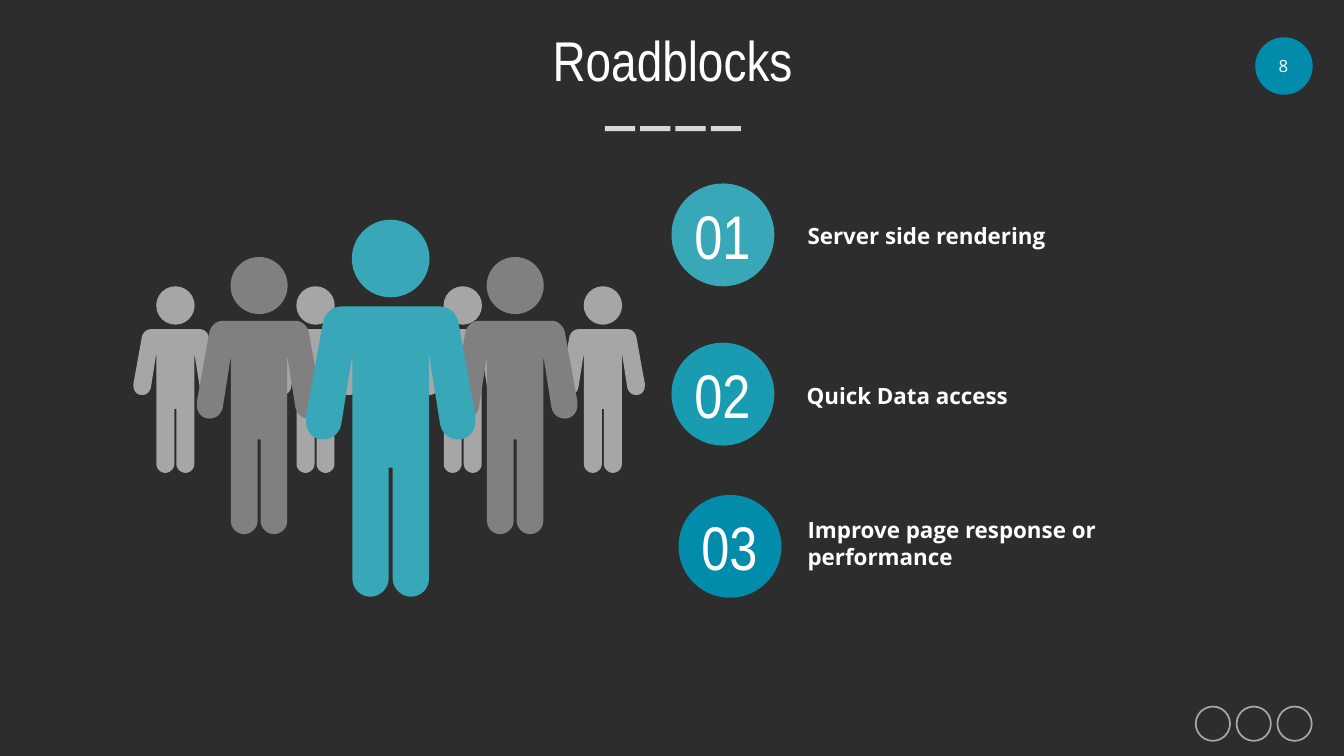
"""Build the Roadblocks slide with its crowd of figures and three numbered items."""
from dataclasses import dataclass

from pptx import Presentation
from pptx.dml.color import RGBColor
from pptx.enum.shapes import MSO_SHAPE
from pptx.enum.text import MSO_ANCHOR, PP_ALIGN
from pptx.shapes.autoshape import Shape
from pptx.slide import Slide
from pptx.util import Inches, Pt

Point = tuple[float, float]


@dataclass(frozen=True)
class Theme:
    """Colours, fonts and type sizes of the slide."""
    background: str = "2D2D2D"
    white: str = "FFFFFF"
    dash: str = "D9D9D9"
    back_row: str = "A6A6A6"
    middle_row: str = "808080"
    leader: str = "38A7B7"
    teal: str = "199CB2"
    deep_teal: str = "008CAA"
    display_font: str = "Arial Narrow"
    body_font: str = "Open Sans"
    title_size: int = 40
    badge_size: int = 44
    item_size: int = 16
    page_size: int = 12


@dataclass(frozen=True)
class Box:
    """A rectangle in inches."""
    left: float
    top: float
    width: float
    height: float


@dataclass(frozen=True)
class Style:
    """The look of a run of text and its paragraph."""
    font: str
    size: int
    bold: bool = False
    align: PP_ALIGN = PP_ALIGN.CENTER
    anchor: MSO_ANCHOR = MSO_ANCHOR.MIDDLE
    wrap: bool = True
    side_inset: float = 0.1
    end_inset: float = 0.05
    line_spacing: float = 1.0


@dataclass(frozen=True)
class Person:
    """A standing figure placed by its centre line and head top."""
    centre: float
    top: float
    scale: float
    color: str


@dataclass(frozen=True)
class Roadblock:
    """A numbered badge with its label."""
    number: str
    label: str
    badge_left: float
    badge_top: float
    color: str
    label_box: Box


THEME = Theme()
TITLE = Style(THEME.display_font, THEME.title_size, line_spacing=0.9)
PAGE = Style(THEME.body_font, THEME.page_size)
BADGE = Style(THEME.display_font, THEME.badge_size, anchor=MSO_ANCHOR.TOP, wrap=False)
ITEM = Style(THEME.body_font, THEME.item_size, bold=True, align=PP_ALIGN.LEFT,
             side_inset=0.2, end_inset=0.1)

HEAD = 0.77
NECK = 0.86
CURVE_STEPS = 8
BODY_START: Point = (0.49, 0)
BODY_HALF: list[tuple[Point, ...]] = [
    ((0.58, 0), (0.65, 0.07), (0.67, 0.15)),
    ((0.84, 1.09),),
    ((0.84, 1.1), (0.84, 1.13), (0.84, 1.14)),
    ((0.84, 1.24), (0.77, 1.32), (0.67, 1.32)),
    ((0.58, 1.32), (0.51, 1.26), (0.49, 1.17)),
    ((0.38, 0.47),),
    ((0.38, 2.7),),
    ((0.38, 2.8), (0.3, 2.88), (0.2, 2.88)),
    ((0.11, 2.88), (0.02, 2.8), (0.02, 2.7)),
    ((0.02, 1.6),),
]

PEOPLE = [
    *(Person(centre, 2.84, 0.495, THEME.back_row) for centre in (5.98, 4.59, 3.13, 1.74)),
    *(Person(centre, 2.55, 0.735, THEME.middle_row) for centre in (5.11, 2.57)),
    Person(3.875, 2.18, 1, THEME.leader),
]
ROADBLOCKS = [
    Roadblock("01", "Server side rendering", 6.66, 1.82, THEME.leader,
              Box(7.81, 2.15, 4.37, 0.38)),
    Roadblock("02", "Quick Data access", 6.66, 3.4, THEME.teal,
              Box(7.8, 3.73, 4.37, 0.38)),
    Roadblock("03", "Improve page response or performance", 6.73, 4.91, THEME.deep_teal,
              Box(7.81, 5.21, 4.61, 0.35)),
]


def paint(shape: Shape, color: str) -> None:
    """Give a shape a flat fill without line or shadow."""
    shape.shadow.inherit = False
    shape.fill.solid()
    shape.fill.fore_color.rgb = RGBColor.from_string(color)
    shape.line.fill.background()


def add_flat(slide: Slide, kind: MSO_SHAPE, box: Box, color: str) -> None:
    """Add a flat preset shape."""
    paint(slide.shapes.add_shape(kind, Inches(box.left), Inches(box.top),
                                 Inches(box.width), Inches(box.height)), color)


def add_ring(slide: Slide, box: Box, color: str) -> None:
    """Add an outlined circle."""
    ring = slide.shapes.add_shape(MSO_SHAPE.OVAL, Inches(box.left), Inches(box.top),
                                  Inches(box.width), Inches(box.height))
    ring.shadow.inherit = False
    ring.fill.background()
    ring.line.color.rgb = RGBColor.from_string(color)
    ring.line.width = Pt(1.25)


def add_text(slide: Slide, box: Box, text: str, style: Style) -> None:
    """Add a text box holding one styled run."""
    frame = slide.shapes.add_textbox(Inches(box.left), Inches(box.top),
                                     Inches(box.width), Inches(box.height)).text_frame
    frame.word_wrap = style.wrap
    frame.vertical_anchor = style.anchor
    frame.margin_left = frame.margin_right = Inches(style.side_inset)
    frame.margin_top = frame.margin_bottom = Inches(style.end_inset)
    paragraph = frame.paragraphs[0]
    paragraph.alignment = style.align
    paragraph.line_spacing = style.line_spacing
    run = paragraph.add_run()
    run.text = text
    run.font.name = style.font
    run.font.size = Pt(style.size)
    run.font.bold = style.bold
    run.font.color.rgb = RGBColor.from_string(THEME.white)


def body_outline() -> list[Point]:
    """Trace the right half of the body and mirror it into a closed outline."""
    half = [BODY_START]
    for segment in BODY_HALF:
        if len(segment) == 1:
            half.append(segment[0])
            continue
        corners = (half[-1], *segment)
        for step in range(1, CURVE_STEPS + 1):
            t = step / CURVE_STEPS
            weights = ((1 - t) ** 3, 3 * t * (1 - t) ** 2, 3 * t * t * (1 - t), t ** 3)
            half.append((sum(w * x for w, (x, _) in zip(weights, corners)),
                         sum(w * y for w, (_, y) in zip(weights, corners))))
    return half + [(-x, y) for x, y in reversed(half)]


def add_person(slide: Slide, person: Person) -> None:
    """Draw a figure as a round head above a body outline."""
    head = HEAD * person.scale
    add_flat(slide, MSO_SHAPE.OVAL,
             Box(person.centre - head / 2, person.top, head, head), person.color)
    start, *rest = [(Inches(person.centre + x * person.scale),
                     Inches(person.top + (NECK + y) * person.scale))
                    for x, y in body_outline()]
    builder = slide.shapes.build_freeform(*start)
    builder.add_line_segments(rest, close=True)
    paint(builder.convert_to_shape(), person.color)


def add_roadblock(slide: Slide, item: Roadblock) -> None:
    """Draw a numbered badge and its label."""
    left, top = item.badge_left, item.badge_top
    add_flat(slide, MSO_SHAPE.OVAL, Box(left, top, 1.02, 1.02), item.color)
    add_text(slide, Box(left + 0.12, top + 0.09, 0.77, 0.84), item.number, BADGE)
    add_text(slide, item.label_box, item.label, ITEM)


def main() -> None:
    """Build and save the slide."""
    deck = Presentation()
    deck.slide_width, deck.slide_height = Inches(13.33), Inches(7.5)
    slide = deck.slides.add_slide(deck.slide_layouts[6])
    slide.background.fill.solid()
    slide.background.fill.fore_color.rgb = RGBColor.from_string(THEME.background)
    for index in range(4):
        add_flat(slide, MSO_SHAPE.RECTANGLE, Box(6 + 0.35 * index, 1.25, 0.3, 0.05), THEME.dash)
    add_flat(slide, MSO_SHAPE.OVAL, Box(12.45, 0.37, 0.57, 0.57), THEME.deep_teal)
    add_text(slide, Box(12.32, 0.39, 0.82, 0.53), "8", PAGE)
    for index in range(3):
        add_ring(slide, Box(11.86 + 0.405 * index, 7.01, 0.34, 0.34), THEME.back_row)
    add_text(slide, Box(1.17, 0.35, 11, 0.56), "Roadblocks", TITLE)
    for person in PEOPLE:
        add_person(slide, person)
    for item in ROADBLOCKS:
        add_roadblock(slide, item)
    deck.save("out.pptx")


if __name__ == "__main__":
    main()
